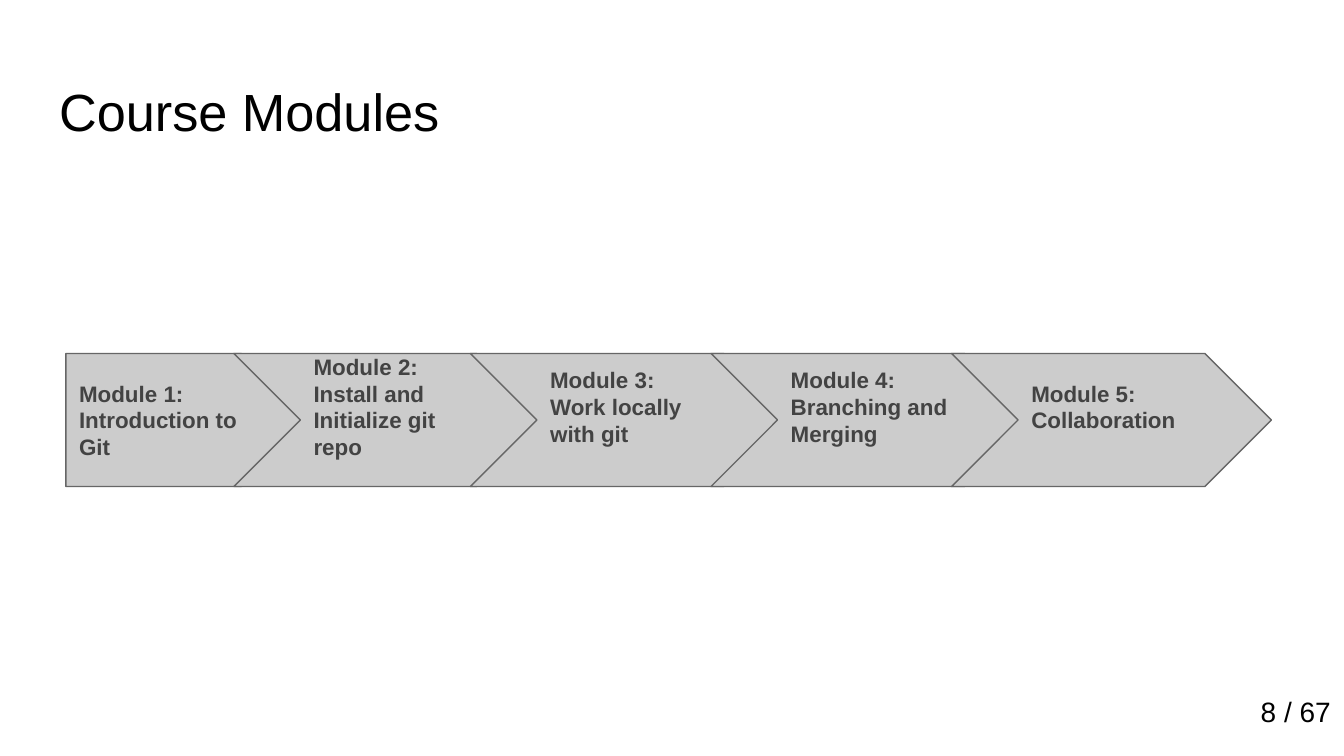
import pptx
import pptx.util
import pptx.dml.color
import pptx.enum.shapes
import pptx.enum.text

Inches = pptx.util.Inches
RGB = pptx.dml.color.RGBColor
Shape = pptx.enum.shapes.MSO_SHAPE
Align = pptx.enum.text.PP_ALIGN
Anchor = pptx.enum.text.MSO_ANCHOR

# Content
TITLE = "Course Modules"
PAGE = "8 / 67"
STEPS = [  # text, left, width
    ("Module 1: Introduction to Git", 0.49, 1.8),
    ("Module 2: Install and Initialize git repo", 1.74, 2.3),
    ("Module 3: Work locally with git", 3.5, 2.38),
    ("Module 4: Branching and Merging", 5.29, 2.38),
    ("Module 5: Collaboration", 7.08, 2.38),
]
TOP, HEIGHT = 2.63, 0.99

FONT = "Arial"
BLACK = RGB(0x00, 0x00, 0x00)
DARK = RGB(0x43, 0x43, 0x43)
EDGE = RGB(0x66, 0x66, 0x66)
GREY = RGB(0xCC, 0xCC, 0xCC)


def write(shape, text, size, color, bold=False, align=Align.LEFT,
          anchor=Anchor.TOP, upper=0.1, lower=0.1):
    frame = shape.text_frame
    frame.word_wrap = True
    frame.auto_size = pptx.enum.text.MSO_AUTO_SIZE.NONE
    frame.vertical_anchor = anchor
    frame.margin_left = frame.margin_right = Inches(0.1)
    frame.margin_top, frame.margin_bottom = Inches(upper), Inches(lower)
    para = frame.paragraphs[0]
    para.alignment = align
    run = para.add_run()
    run.text = text
    run.font.name = FONT
    run.font.size = pptx.util.Pt(size)
    run.font.bold = bold
    run.font.color.rgb = color


# Widescreen slide, 16 to 9
deck = pptx.Presentation()
deck.slide_width = Inches(10)
deck.slide_height = Inches(10) * 9 // 16
slide = deck.slides.add_slide(deck.slide_layouts[5])

# Title
title = slide.shapes.title
title.left, title.top = Inches(0.34), Inches(0.49)
title.width, title.height = Inches(9.32), Inches(0.63)
write(title, TITLE, 28, BLACK)

# Chain of modules: the first is a pentagon, the rest are chevrons
for i, (text, left, width) in enumerate(STEPS):
    kind = Shape.CHEVRON if i else Shape.PENTAGON
    step = slide.shapes.add_shape(
        kind, Inches(left), Inches(TOP), Inches(width), Inches(HEIGHT))
    step.adjustments[0] = 0.5
    step.shadow.inherit = False
    step.fill.solid()
    step.fill.fore_color.rgb = GREY
    step.line.color.rgb = EDGE
    step.line.width = pptx.util.Pt(0.75)
    # Chevron text sits a little above the middle
    upper, lower = (0, 0.2) if i else (0.1, 0.1)
    write(step, text, 12, DARK, bold=True, anchor=Anchor.MIDDLE,
          upper=upper, lower=lower)

# Page number
page = slide.shapes.add_textbox(
    Inches(8.89), Inches(5.07), Inches(1.11), Inches(0.56))
write(page, PAGE, 15, BLACK, align=Align.RIGHT)

deck.save("out.pptx")
